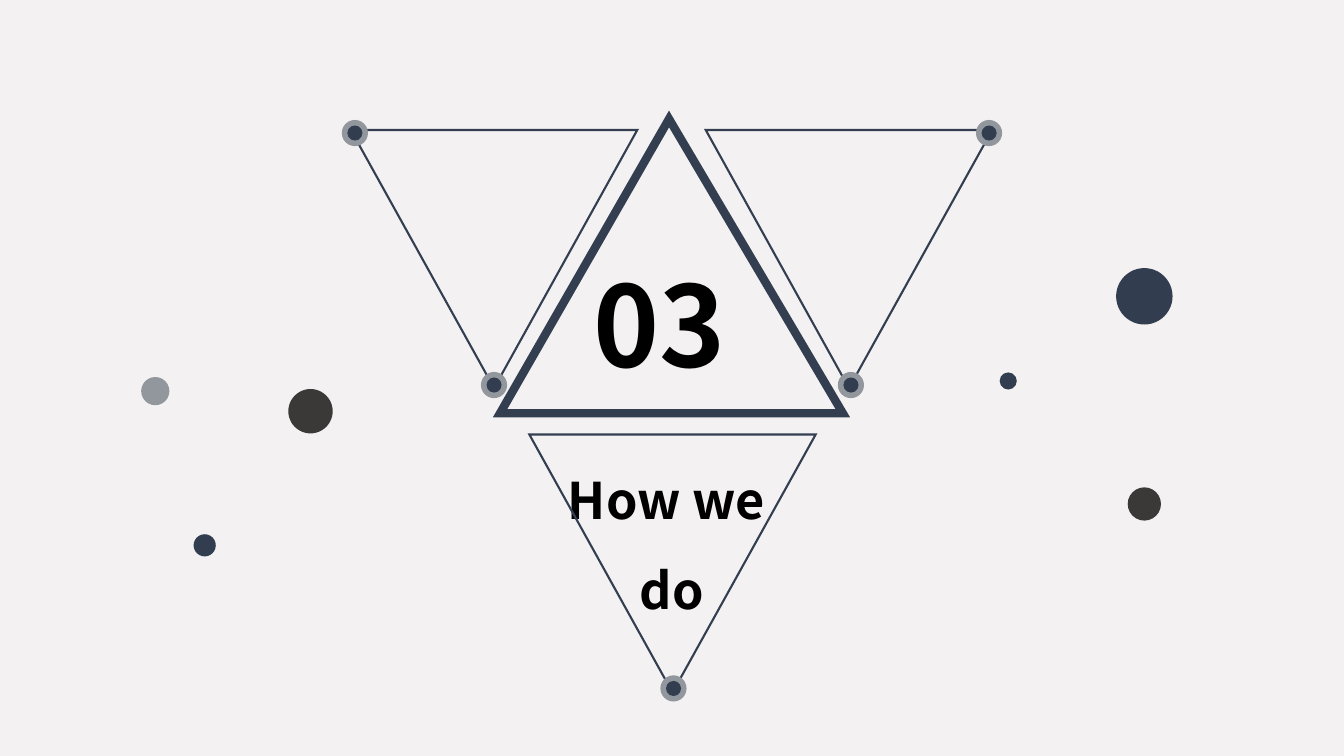
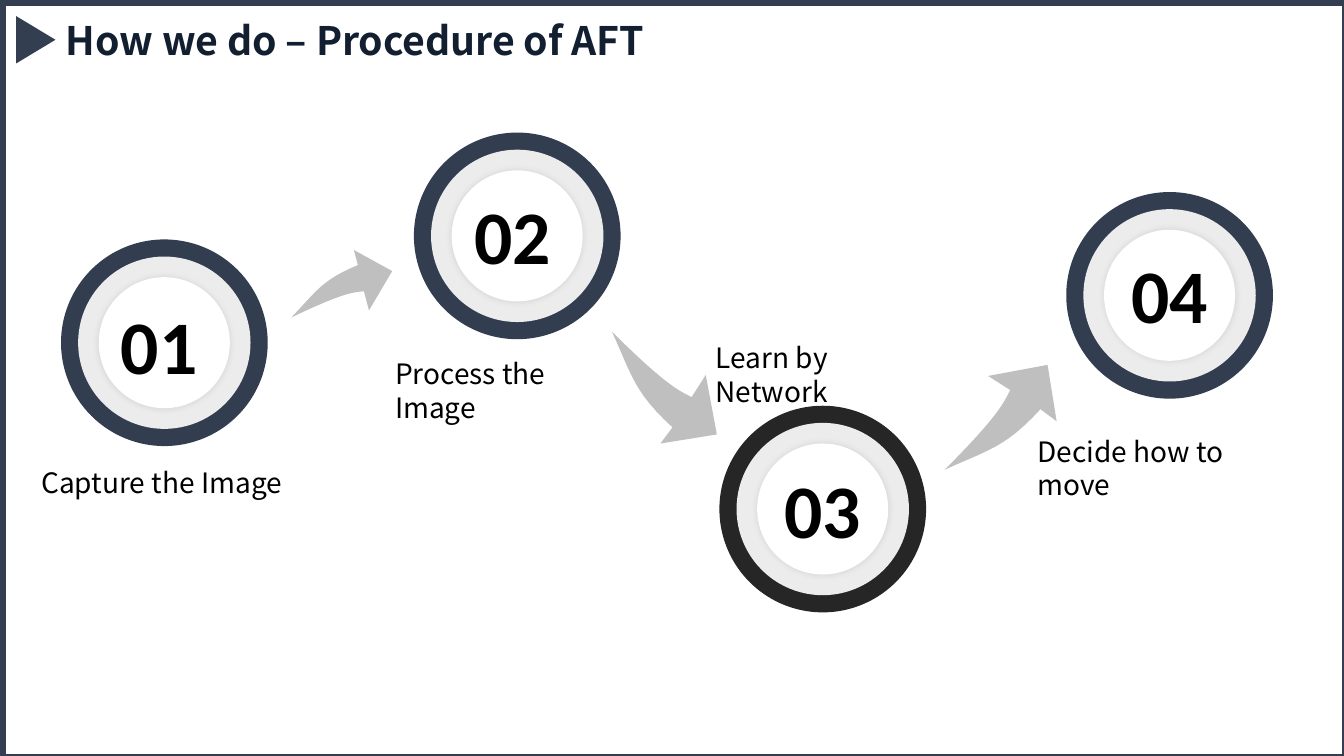
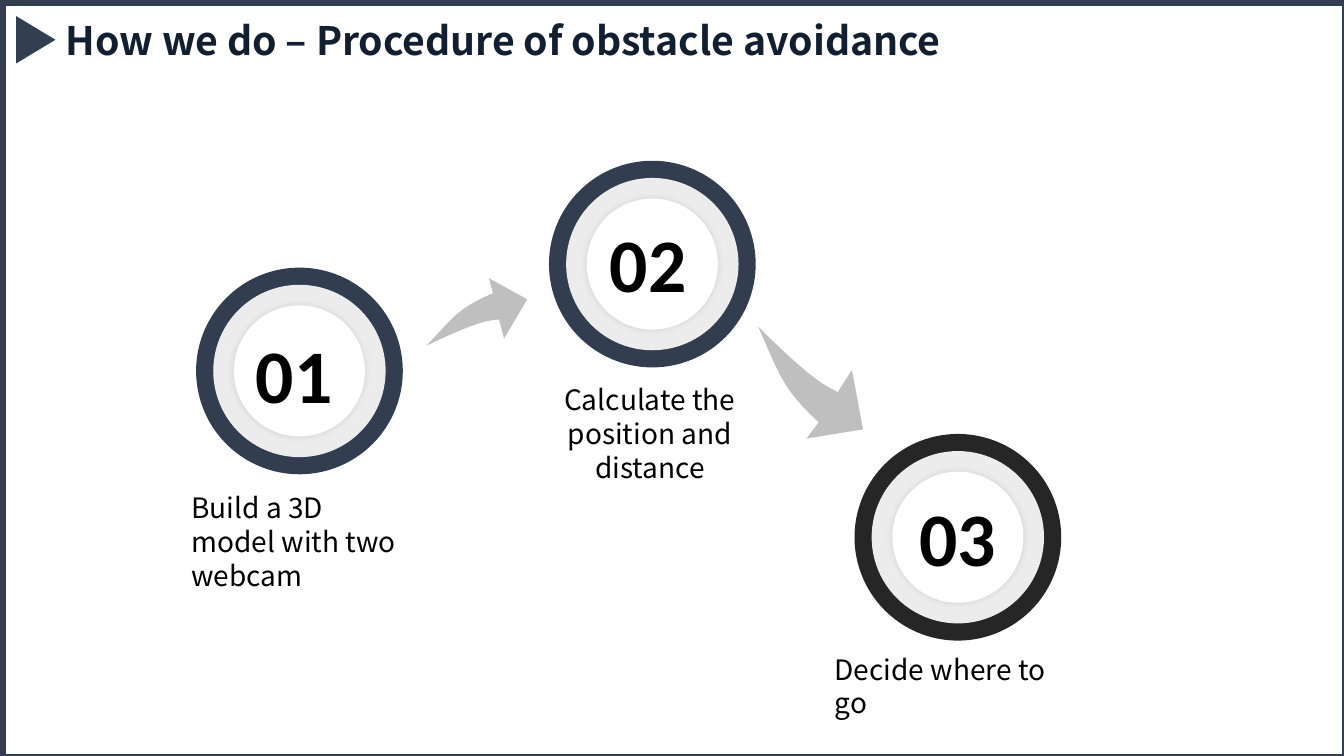
import pptx
import pptx.dml.color
import pptx.enum.shapes
import pptx.enum.text
import pptx.oxml
import pptx.oxml.ns
import pptx.util

Inches = pptx.util.Inches
SHAPE = pptx.enum.shapes.MSO_SHAPE
ALIGN = pptx.enum.text.PP_ALIGN

SLATE, NAVY, GREY, CHARCOAL, BLACK = "333F50", "323E50", "92979E", "3B3838", "000000"
TEXT_FONT, NUMBER_FONT = "Noto Sans CJK SC", "Calibri"

STEPS = [
    ("01", (0.6, 2.37), (0.5, 0.55), NAVY),
    ("02", (4.1, 1.31), (0.51, 0.51), NAVY),
    ("03", (7.13, 4.02), (0.55, 0.52), "262626"),
    ("04", (10.57, 1.9), (0.55, 0.51), NAVY),
]

SMALL_ARROW = [
    [(0, 0), (0.25, -0.26), (0.3, -0.37), (0.66, -0.52)],
    [(0.62, -0.67)], [(1, -0.46)], [(0.77, -0.07)],
    [(0.72, -0.26), (0.63, -0.25), (0.54, -0.26), (0, 0)],
]
DOWN_ARROW = [
    [(0, 0), (0.2, 0.44), (0.22, 0.6), (0.6, 0.95)],
    [(0.48, 1.11)], [(1.04, 1.02)], [(0.93, 0.43)],
    [(0.79, 0.65), (0.68, 0.59), (0.56, 0.56), (0, 0)],
]
UP_ARROW = [[(y, -x) for x, y in piece] for piece in DOWN_ARROW]


def rgb(value):
    """Turn a hex string into a colour."""
    return pptx.dml.color.RGBColor.from_string(value)


def paint(shape, fill=None, line=None, weight=1.5):
    """Set fill and outline, and drop the shadow."""
    shape.shadow.inherit = False
    if fill:
        shape.fill.solid()
        shape.fill.fore_color.rgb = rgb(fill)
    else:
        shape.fill.background()
    if line:
        shape.line.color.rgb = rgb(line)
        shape.line.width = pptx.util.Pt(weight)
        miter = pptx.oxml.parse_xml(
            '<a:miter xmlns:a="http://schemas.openxmlformats.org/drawingml/2006/main" lim="800000"/>')
        shape.line._get_or_add_ln().append(miter)
    else:
        shape.line.fill.background()


def add_figure(slide, kind, left, top, width, height, **look):
    """Add a painted preset shape."""
    figure = slide.shapes.add_shape(kind, Inches(left), Inches(top), Inches(width), Inches(height))
    paint(figure, **look)
    return figure


def add_disc(slide, x, y, size, fill):
    """Add a circle around a centre."""
    return add_figure(slide, SHAPE.OVAL, x - size / 2, y - size / 2, size, size, fill=fill)


def write(frame, text, size, font=TEXT_FONT, color=BLACK, bold=False, align=ALIGN.LEFT,
          spacing=None, wrap=True):
    """Fill a text frame, one paragraph a line."""
    frame.text = text
    frame.word_wrap = wrap
    frame.auto_size = pptx.enum.text.MSO_AUTO_SIZE.NONE
    frame.vertical_anchor = pptx.enum.text.MSO_ANCHOR.TOP
    for paragraph in frame.paragraphs:
        paragraph.alignment = align
        paragraph.line_spacing = spacing
        paragraph.font.name = font
        paragraph.font.size = pptx.util.Pt(size)
        paragraph.font.bold = bold
        paragraph.font.color.rgb = rgb(color)


def add_label(slide, text, left, top, width, height, size, **style):
    """Add a text box."""
    box = slide.shapes.add_textbox(Inches(left), Inches(top), Inches(width), Inches(height))
    write(box.text_frame, text, size, **style)


def add_titled_slide(deck, text, left, top, width, height, size, **style):
    """Add a title-only slide with its title in place."""
    slide = deck.slides.add_slide(deck.slide_layouts[5])
    title = slide.shapes.title
    title.left, title.top, title.width, title.height = map(Inches, (left, top, width, height))
    write(title.text_frame, text, size, bold=True, **style)
    return slide


def bezier(points, t):
    """Give the point at t on a cubic curve, in EMU."""
    weights = ((1 - t) ** 3, 3 * t * (1 - t) ** 2, 3 * t * t * (1 - t), t ** 3)
    return tuple(Inches(sum(w * p[axis] for w, p in zip(weights, points))) for axis in (0, 1))


def add_arrow(slide, pieces, left, top):
    """Add a curved grey arrow with its tail at a point."""
    outline = []
    for piece in pieces:
        points = [(left + x, top + y) for x, y in piece]
        if len(points) == 4:
            outline += [bezier(points, i / 12) for i in range(13)]
        else:
            outline += [tuple(map(Inches, point)) for point in points]
    builder = slide.shapes.build_freeform(*outline[0])
    builder.add_line_segments(outline[1:-1], close=True)
    paint(builder.convert_to_shape(), fill="BFBFBF")


def add_badge(slide, number, left, top, offset, color):
    """Add a ringed step number."""
    x, y = left + 1.03, top + 1.03
    add_disc(slide, x, y, 2.05, color)
    add_disc(slide, x, y, 1.71, "ECECEC")
    center = add_disc(slide, x, y, 1.3, "FFFFFF")
    glow = pptx.oxml.parse_xml(
        '<a:outerShdw xmlns:a="http://schemas.openxmlformats.org/drawingml/2006/main"'
        ' blurRad="63500" dist="0" dir="0" algn="ctr" rotWithShape="0">'
        '<a:srgbClr val="000000"><a:alpha val="9000"/></a:srgbClr></a:outerShdw>')
    center._element.spPr.find(pptx.oxml.ns.qn("a:effectLst")).append(glow)
    add_label(slide, number, left + offset[0], top + offset[1], 1, 1.01, 54,
              font=NUMBER_FONT, bold=True, wrap=False)


def add_procedure(deck, title, title_width, count, shift, arrows, captions):
    """Add a framed slide of numbered steps."""
    slide = add_titled_slide(deck, title, 0.55, 0.11, title_width, 0.57, 28, color="121F30")
    add_figure(slide, SHAPE.RECTANGLE, 0.02, 0.02, 13.33, 7.5, line=SLATE, weight=6)
    add_figure(slide, SHAPE.ISOSCELES_TRIANGLE, 0.12, 0.2, 0.47, 0.39, fill=SLATE).rotation = 90
    for number, (left, top), offset, color in STEPS[:count]:
        add_badge(slide, number, left + shift[0], top + shift[1], offset, color)
    for pieces, left, top in arrows:
        add_arrow(slide, pieces, left, top)
    for text, left, top, width, height, align in captions:
        add_label(slide, text, left, top, width, height, 20, align=align)


def add_section(deck):
    """Add the section opener with triangles and dots."""
    slide = add_titled_slide(deck, "How we \ndo", 5.1, 4.3, 3.13, 1.82, 36,
                             align=ALIGN.CENTER, spacing=1.5)
    slide.background.fill.solid()
    slide.background.fill.fore_color.rgb = rgb("F3F1F2")
    peak = add_figure(slide, SHAPE.ISOSCELES_TRIANGLE, 4.96, 1.18, 3.4, 2.92, line=SLATE, weight=6)
    peak.adjustments[0] = 0.493
    for left, top in [(5.25, 4.31), (3.48, 1.29), (7, 1.29)]:
        add_figure(slide, SHAPE.ISOSCELES_TRIANGLE, left, top, 2.84, 2.56, line=SLATE).rotation = 180
    add_label(slide, "03", 5.79, 2.49, 1.76, 1.45, 80, bold=True)
    for x, y in [(8.44, 3.82), (4.9, 3.82), (3.52, 1.32), (9.81, 1.32), (6.68, 6.83)]:
        add_disc(slide, x, y, 0.26, GREY)
        add_disc(slide, x, y, 0.15, NAVY)
    for x, y, size, color in [
        (3.08, 4.08, 0.44, CHARCOAL), (11.35, 2.94, 0.56, NAVY), (10, 3.78, 0.17, NAVY),
        (2.03, 5.41, 0.22, NAVY), (1.54, 3.88, 0.28, GREY), (11.35, 5, 0.33, CHARCOAL),
    ]:
        add_disc(slide, x, y, size, color)


def main():
    """Build the deck."""
    deck = pptx.Presentation()
    deck.slide_width, deck.slide_height = Inches(13.33), Inches(7.5)
    add_section(deck)
    add_procedure(
        deck, "How we do – Procedure of AFT", 8.26, 4, (0, 0),
        [(SMALL_ARROW, 2.89, 3.15), (DOWN_ARROW, 6.07, 3.29), (UP_ARROW, 9.37, 4.66)],
        [("Capture the Image", 0.31, 4.57, 2.59, 0.44, ALIGN.LEFT),
         ("Learn by Network", 7, 3.33, 2.38, 0.44, ALIGN.LEFT),
         ("Decide how to move", 10.19, 4.26, 2.81, 0.44, ALIGN.LEFT),
         ("Process the Image", 3.82, 3.49, 2.44, 0.44, ALIGN.LEFT)])
    add_procedure(
        deck, "How we do – Procedure of obstacle avoidance", 9.6, 3, (1.34, 0.28),
        [(SMALL_ARROW, 4.23, 3.43), (DOWN_ARROW, 7.52, 3.24)],
        [("Build a 3D model with two webcam", 1.8, 4.82, 2.32, 0.77, ALIGN.LEFT),
         ("Decide where to go", 8.18, 6.42, 2.64, 0.44, ALIGN.LEFT),
         ("Calculate the position and distance", 5.04, 3.75, 2.81, 0.77, ALIGN.CENTER)])
    deck.save("out.pptx")


if __name__ == "__main__":
    main()
